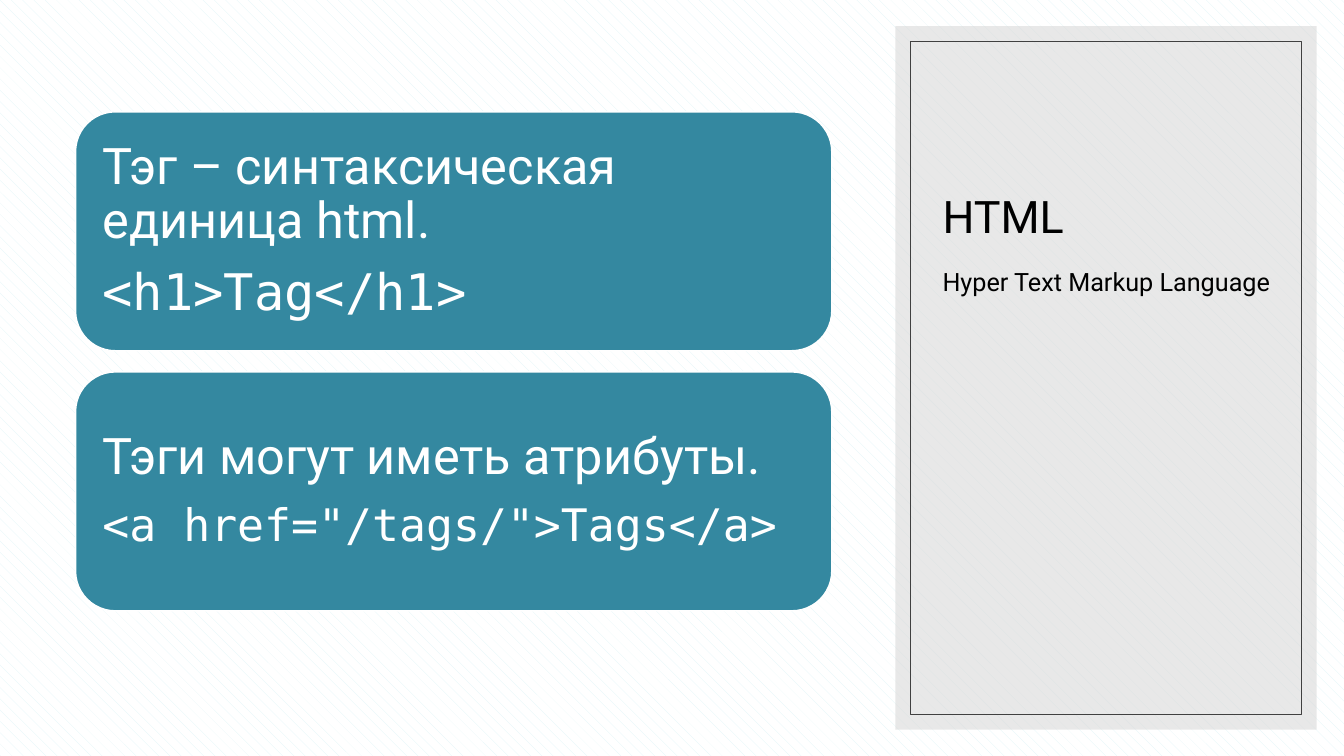
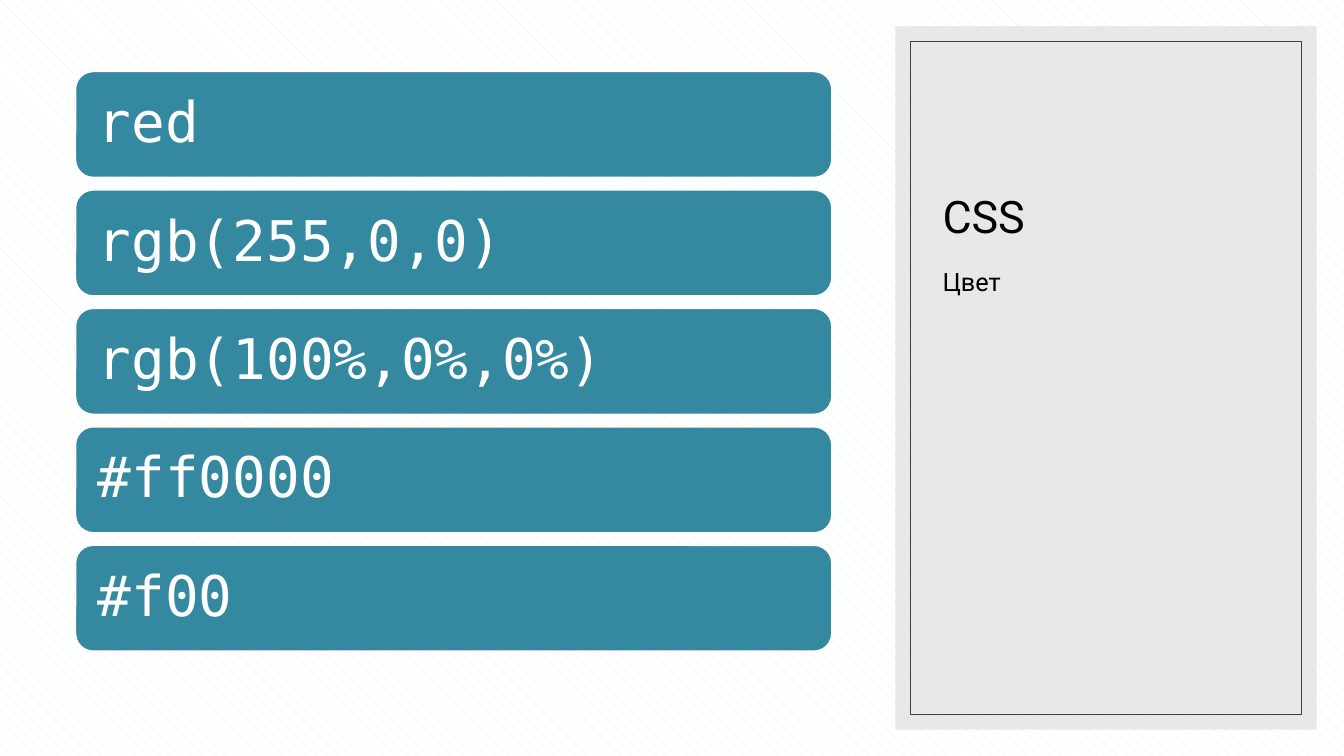
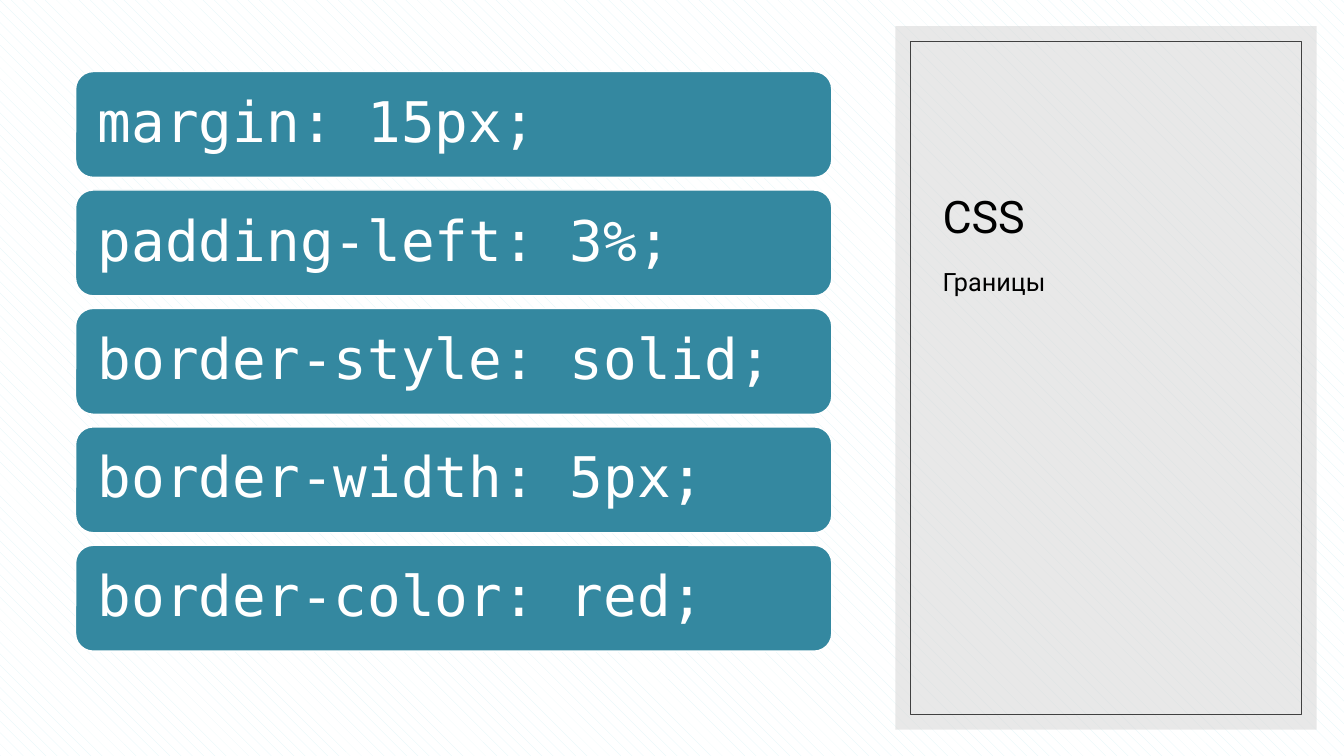
from lxml.etree import SubElement
from pptx import Presentation
from pptx.dml.color import RGBColor
from pptx.enum.dml import MSO_PATTERN
from pptx.enum.shapes import MSO_SHAPE
from pptx.enum.text import MSO_ANCHOR, PP_ALIGN
from pptx.oxml.ns import qn
from pptx.util import Inches, Pt

COLORS = {
    "card": "3488A0",
    "card_text": "FFFFFF",
    "panel": "D9D9D9",
    "frame": "404040",
    "panel_text": "000000",
    "stripe": "DEF4F7",
    "paper": "FFFFFF",
}
BODY_FONT, CODE_FONT = "Roboto", "DejaVu Sans Mono"
CARD_AREA = (0.75, 0.71, 7.5, 5.75)
PANEL_BOX = (8.88, 0.26, 4.18, 6.98)
TITLE_FORMAT = {"line_spacing": 1.0}
SUBTITLE_FORMAT = {"line_spacing": 1.1, "space_before": Pt(8)}
CARD_FORMAT = {"line_spacing": 0.9, "alignment": PP_ALIGN.LEFT}
SPACE_AFTER_SHARE = 0.35

LARGE_CARDS = {"height": 2.37, "gap": 0.21, "inset": 0.15}
CODE_CARDS = {"height": 1.05, "gap": 0.125, "inset": 0.17}


def color(name):
    """Return the named colour."""
    return RGBColor.from_string(COLORS[name])


def set_values(target, values):
    """Set every attribute in values on the target."""
    for name, value in values.items():
        setattr(target, name, value)


def write(paragraph, text, size, font, color_name, values):
    """Write one formatted run into a paragraph."""
    set_values(paragraph, values)
    run = paragraph.add_run()
    run.text = text
    set_values(run.font, {"name": font, "size": Pt(size)})
    run.font.color.rgb = color(color_name)


def add_box(slide, kind, box, fill=None, line=None, width=1):
    """Add a flat shape with an optional fill and outline."""
    shape = slide.shapes.add_shape(kind, *map(Inches, box))
    shape.shadow.inherit = False
    if fill:
        shape.fill.solid()
        shape.fill.fore_color.rgb = color(fill)
    else:
        shape.fill.background()
    if line:
        shape.line.color.rgb = color(line)
        shape.line.width = Pt(width)
    else:
        shape.line.fill.background()
    return shape


def add_label(slide, box, text, size, anchor, values):
    """Add one line of panel text."""
    frame = slide.shapes.add_textbox(*map(Inches, box)).text_frame
    set_values(frame, {"word_wrap": True, "vertical_anchor": anchor})
    write(frame.paragraphs[0], text, size, BODY_FONT, "panel_text", values)


def add_panel(slide, box, title, subtitle):
    """Add the framed side panel with its title and subtitle."""
    left, top, width, height = box
    panel = add_box(slide, MSO_SHAPE.RECTANGLE, box, fill="panel")
    fill_color = panel.fill._xPr.find(qn("a:solidFill"))[0]
    SubElement(fill_color, qn("a:alpha"), val="60000")
    margin = 0.15
    frame = (left + margin, top + margin, width - 2 * margin, height - 2 * margin)
    add_box(slide, MSO_SHAPE.RECTANGLE, frame, line="frame", width=0.5)
    text_left, text_width = left + 0.37, width - 0.72
    add_label(slide, (text_left, top + 0.4, text_width, 1.8), title, 32,
              MSO_ANCHOR.BOTTOM, TITLE_FORMAT)
    add_label(slide, (text_left, top + 2.3, text_width, 3.94), subtitle, 18,
              MSO_ANCHOR.TOP, SUBTITLE_FORMAT)


def add_card(slide, box, lines, inset):
    """Add a rounded card holding lines of (text, size, font)."""
    card = add_box(slide, MSO_SHAPE.ROUNDED_RECTANGLE, box, "card", "paper")
    frame = card.text_frame
    set_values(frame, {"word_wrap": True, "vertical_anchor": MSO_ANCHOR.MIDDLE})
    for side in ("left", "right", "top", "bottom"):
        setattr(frame, f"margin_{side}", Inches(inset))
    for index, (text, size, font) in enumerate(lines):
        paragraph = frame.add_paragraph() if index else frame.paragraphs[0]
        spacing = {"space_after": Pt(size * SPACE_AFTER_SHARE)}
        write(paragraph, text, size, font, "card_text", CARD_FORMAT | spacing)


def add_cards(slide, area, cards, height, gap, inset):
    """Stack equal cards, centred vertically in the area."""
    left, top, width, area_height = area
    step = height + gap
    first_top = top + (area_height - step * len(cards) + gap) / 2
    for index, lines in enumerate(cards):
        add_card(slide, (left, first_top + index * step, width, height), lines, inset)


def add_topic(presentation, title, subtitle, cards, layout):
    """Add a slide with cards on the left and the panel on the right."""
    slide = presentation.slides.add_slide(presentation.slide_layouts[6])
    background = slide.background.fill
    background.patterned()
    background.pattern = MSO_PATTERN.SHINGLE
    background.fore_color.rgb = color("stripe")
    background.back_color.rgb = color("paper")
    add_panel(slide, PANEL_BOX, title, subtitle)
    add_cards(slide, CARD_AREA, cards, **layout)


def code_cards(*snippets):
    """Return one single-line code card for each snippet."""
    return [[(snippet, 40, CODE_FONT)] for snippet in snippets]


def main():
    """Build and save the presentation."""
    presentation = Presentation()
    set_values(presentation, {"slide_width": Inches(13.33), "slide_height": Inches(7.5)})
    tag_cards = [
        [("Тэг – синтаксическая единица html.", 36, BODY_FONT),
         ("<h1>Tag</h1>", 36, CODE_FONT)],
        [("Тэги могут иметь атрибуты.", 36, BODY_FONT),
         ('<a href="/tags/">Tags</a>', 32, CODE_FONT)],
    ]
    color_cards = code_cards("red", "rgb(255,0,0)", "rgb(100%,0%,0%)", "#ff0000", "#f00")
    border_cards = code_cards("margin: 15px;", "padding-left: 3%;", "border-style: solid;",
                              "border-width: 5px;", "border-color: red;")
    add_topic(presentation, "HTML", "Hyper Text Markup Language", tag_cards, LARGE_CARDS)
    add_topic(presentation, "CSS", "Цвет", color_cards, CODE_CARDS)
    add_topic(presentation, "CSS", "Границы", border_cards, CODE_CARDS)
    presentation.save("out.pptx")


main()
